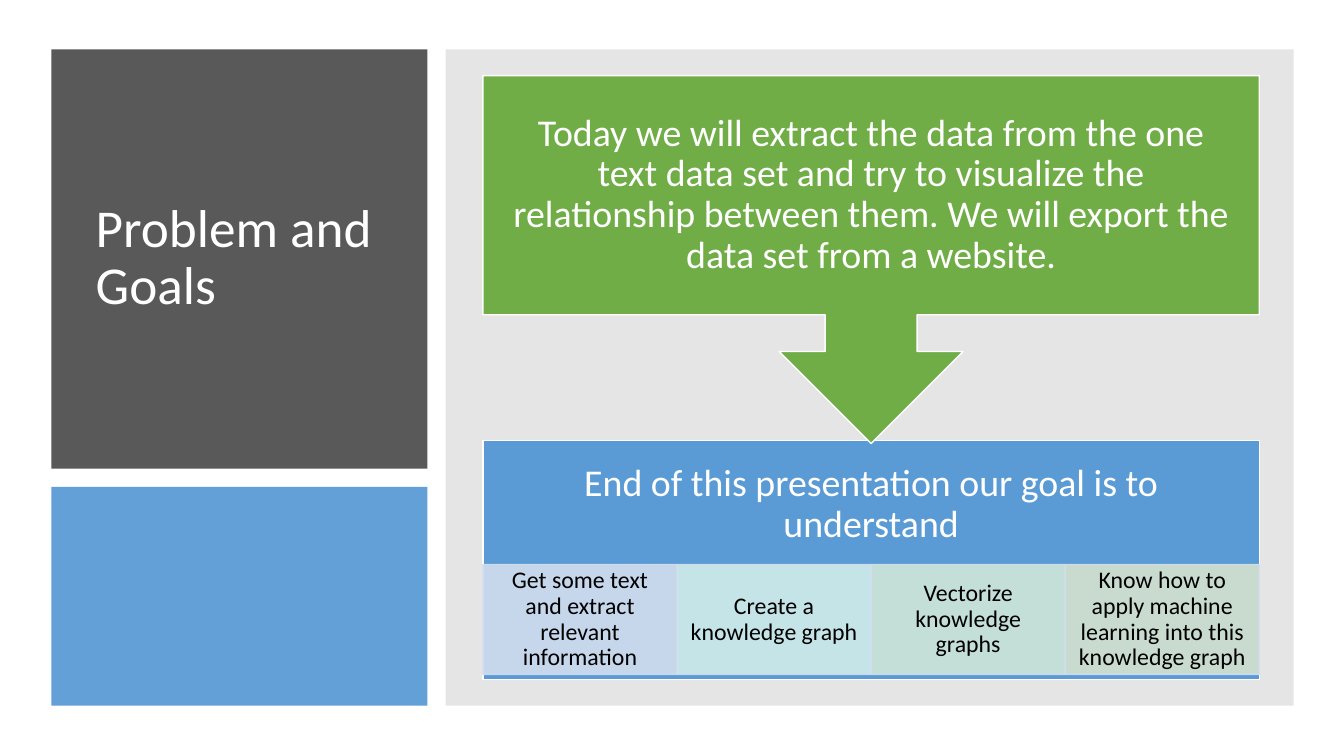
import pptx
import pptx.util
import pptx.dml.color
import pptx.enum.shapes
import pptx.enum.text
import pptx.oxml
import pptx.oxml.ns

Inches = pptx.util.Inches
Pt = pptx.util.Pt
SHAPE = pptx.enum.shapes.MSO_SHAPE
ALIGN = pptx.enum.text.PP_ALIGN

COLORS = {
    "white": "FFFFFF", "black": "000000", "dark": "595959", "gray": "808080",
    "blue": "5B9BD5", "green": "70AD47", "cell_line": "D2DEEF",
}
GOALS = [
    ("Get some text and extract relevant information", "D2DEEF"),
    ("Create a knowledge graph", "D0ECEA"),
    ("Vectorize knowledge graphs", "D0E7D8"),
    ("Know how to apply machine learning into this knowledge graph", "D5E3CF"),
]


def paint(fill, color, alpha):
    """Give a fill a solid colour with the given opacity in percent."""
    fill.solid()
    fill.fore_color.rgb = pptx.dml.color.RGBColor.from_string(color)
    if alpha < 100:
        clr = fill._xPr.find(".//" + pptx.oxml.ns.qn("a:srgbClr"))
        node = pptx.oxml.parse_xml(f'<a:alpha {pptx.oxml.ns.nsdecls("a")} val="{alpha * 1000}"/>')
        clr.append(node)


def add_block(slide, box, color, alpha=100, line=None, kind=SHAPE.RECTANGLE):
    """Add a filled shape, outlined only when a line colour is given."""
    sp = slide.shapes.add_shape(kind, *(Inches(v) for v in box))
    sp.shadow.inherit = False
    paint(sp.fill, color, alpha)
    if line:
        sp.line.width = Pt(1)
        paint(sp.line.fill, line, alpha)
    else:
        sp.line.fill.background()
    return sp


def write(sp, text, size, color, insets, align=ALIGN.CENTER):
    """Set one paragraph of vertically centred text in a shape."""
    tf = sp.text_frame
    tf.word_wrap = True
    tf.vertical_anchor = pptx.enum.text.MSO_ANCHOR.MIDDLE
    tf.margin_left, tf.margin_top, tf.margin_right, tf.margin_bottom = map(Inches, insets)
    p = tf.paragraphs[0]
    p.text = text
    p.alignment = align
    p.line_spacing = 0.9
    p.font.name = "Calibri"
    p.font.size = Pt(size)
    p.font.color.rgb = pptx.dml.color.RGBColor.from_string(color)


def add_title_column(slide, left, top, width, height):
    """Draw the dark title panel above the blue panel."""
    title_h, gap = 4.16, 0.18
    sp = add_block(slide, (left, top, width, title_h), COLORS["dark"])
    write(sp, "Problem and Goals", 38, COLORS["white"], (0.44, 0.36, 0.38, 0.36), ALIGN.LEFT)
    rest = title_h + gap
    add_block(slide, (left, top + rest, width, height - rest), COLORS["blue"], 95)


def add_goals(slide, left, top, width, height):
    """Draw the goal heading with a row of equal cells beneath it."""
    head_h, row_top, row_h = 1.28, 1.23, 1.09
    sp = add_block(slide, (left, top, width, height), COLORS["blue"], line=COLORS["white"])
    write(sp, "End of this presentation our goal is to understand", 27, COLORS["white"],
          (0.21, 0.21, 0.21, height - head_h + 0.21))
    cell_w = width / len(GOALS)
    for i, (text, color) in enumerate(GOALS):
        box = (left + i * cell_w, top + row_top, cell_w, row_h)
        cell = add_block(slide, box, color, 90, COLORS["cell_line"])
        write(cell, text, 17, COLORS["black"], (0.13, 0.02, 0.13, 0.02))


def add_problem(slide, left, top, width, height):
    """Draw the callout whose arrow points down to the goals."""
    sp = add_block(slide, (left, top, width, height), COLORS["green"],
                   line=COLORS["white"], kind=SHAPE.DOWN_ARROW_CALLOUT)
    for i, value in enumerate((0.25, 0.25, 0.25, 0.65)):
        sp.adjustments[i] = value
    write(sp, "Today we will extract the data from the one text data set and try to "
          "visualize the relationship between them. We will export the data set "
          "from a website.", 27, COLORS["white"], (0.21,) * 4)


def add_process(slide, left, top, width, height):
    """Draw the gray panel holding the problem and the goals."""
    add_block(slide, (left, top, width, height), COLORS["gray"], 20)
    inner_left, inner_w = left + 0.37, 7.7
    add_goals(slide, inner_left, top + 3.88, inner_w, 2.37)
    add_problem(slide, inner_left, top + 0.26, inner_w, 3.65)


def main():
    """Build and save the slide."""
    prs = pptx.Presentation()
    prs.slide_width, prs.slide_height = Inches(13.33), Inches(7.5)
    slide = prs.slides.add_slide(prs.slide_layouts[6])
    add_title_column(slide, 0.51, 0.49, 3.73, 6.51)
    add_process(slide, 4.42, 0.49, 8.41, 6.51)
    prs.save("out.pptx")


if __name__ == "__main__":
    main()
